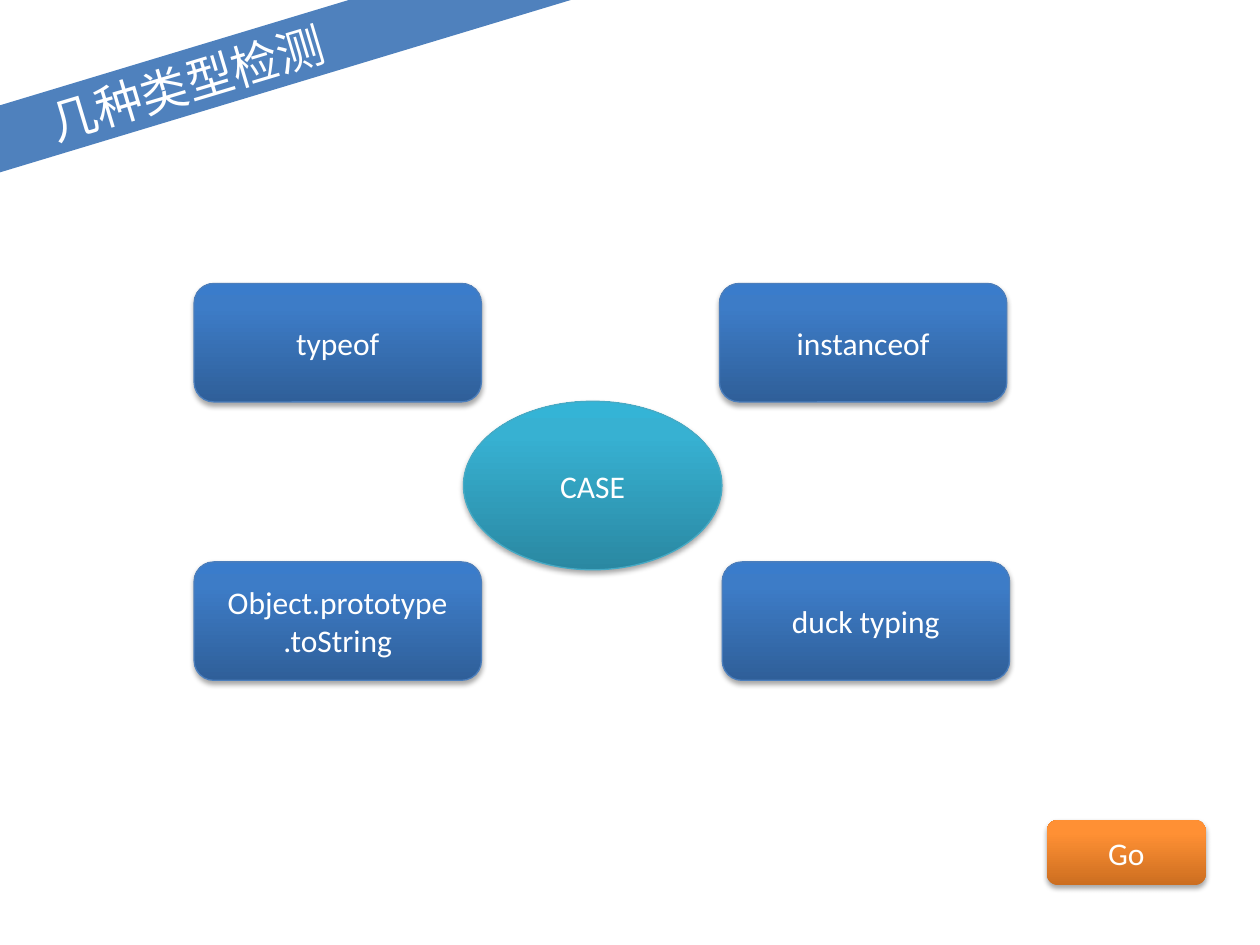
"""Build the slide on kinds of type checking."""
import pptx
import pptx.dml.color
import pptx.enum.shapes
import pptx.enum.text
import pptx.oxml
import pptx.oxml.ns
import pptx.util

Pt = pptx.util.Pt
RGB = pptx.dml.color.RGBColor.from_string
SHAPE = pptx.enum.shapes.MSO_SHAPE

THEME = {
    "body": {"name": "Calibri", "size": Pt(18), "color": "FFFFFF"},
    "title": {"name": "Comic Neue", "size": Pt(27), "color": "FFFFFF"},
    "blue": {"stops": ("2F5F99", "3D7CC7", "3A7CCB"), "line": "4B7EBC"},
    "orange": {"stops": ("CC6E20", "FF9034", "FF9136"), "line": None},
    "teal": {"stops": ("2A88A2", "37B1D2", "34B4D6"), "line": "46AAC5"},
    "banner": "4F81BD",
}
STOP_POSITIONS = (0, 80, 100)

CARD_SIZE = (164.2, 67.7)
CARD_ROWS = (
    (162, ((110.9, "typeof"), (411.1, "instanceof"))),
    (321.1, ((110.9, "Object.prototype\n.toString"), (412.7, "duck typing"))),
)
BUTTON = ("Go", (598.3, 468.6, 90.7, 37.2))
CENTRE = ("CASE", (264.8, 229.3, 147.7, 96.3))
BANNER = ("几种类型检测", (-221, 28.8, 655.2, 36.7), 343.2)


def add_box(page, kind, text, bounds, font):
    box = page.shapes.add_shape(kind, *map(Pt, bounds))
    box.shadow.inherit = False
    box.line.fill.background()
    frame = box.text_frame
    frame.text = text
    frame.word_wrap = True
    frame.vertical_anchor = pptx.enum.text.MSO_ANCHOR.MIDDLE
    for para in frame.paragraphs:
        para.alignment = pptx.enum.text.PP_ALIGN.CENTER
        for span in para.runs:
            for key in ("name", "size"):
                setattr(span.font, key, font[key])
            span.font.color.rgb = RGB(font["color"])
    return box


def add_glossy(page, kind, text, bounds, look):
    box = add_box(page, kind, text, bounds, THEME["body"])
    namespace = pptx.oxml.ns.nsdecls("a")
    box.fill.gradient()
    box.fill.gradient_angle = 90
    properties = box.element.spPr
    stops = properties.find(".//" + pptx.oxml.ns.qn("a:gsLst"))
    stops.clear()
    for position, color in zip(STOP_POSITIONS, look["stops"]):
        stops.append(pptx.oxml.parse_xml(
            f'<a:gs {namespace} pos="{position * 1000}"><a:srgbClr val="{color}"/></a:gs>'))
    if look["line"]:
        box.line.color.rgb = RGB(look["line"])
        box.line.width = Pt(0.75)
    properties.find(pptx.oxml.ns.qn("a:effectLst")).append(pptx.oxml.parse_xml(
        f'<a:outerShdw {namespace} blurRad="{Pt(3.1)}" dist="{Pt(1.8)}" dir="5400000" '
        'rotWithShape="0"><a:srgbClr val="000000"><a:alpha val="35000"/></a:srgbClr>'
        '</a:outerShdw>'))


def main():
    deck = pptx.Presentation()
    deck.slide_width, deck.slide_height = Pt(720), Pt(540)
    page = deck.slides.add_slide(deck.slide_layouts[6])
    for top, cards in CARD_ROWS:
        for left, text in cards:
            add_glossy(page, SHAPE.ROUNDED_RECTANGLE, text, (left, top, *CARD_SIZE), THEME["blue"])
    add_glossy(page, SHAPE.ROUNDED_RECTANGLE, *BUTTON, THEME["orange"])
    title, bounds, angle = BANNER
    banner = add_box(page, SHAPE.RECTANGLE, title, bounds, THEME["title"])
    banner.rotation = angle
    banner.fill.solid()
    banner.fill.fore_color.rgb = RGB(THEME["banner"])
    add_glossy(page, SHAPE.OVAL, *CENTRE, THEME["teal"])
    deck.save("out.pptx")


if __name__ == "__main__":
    main()
